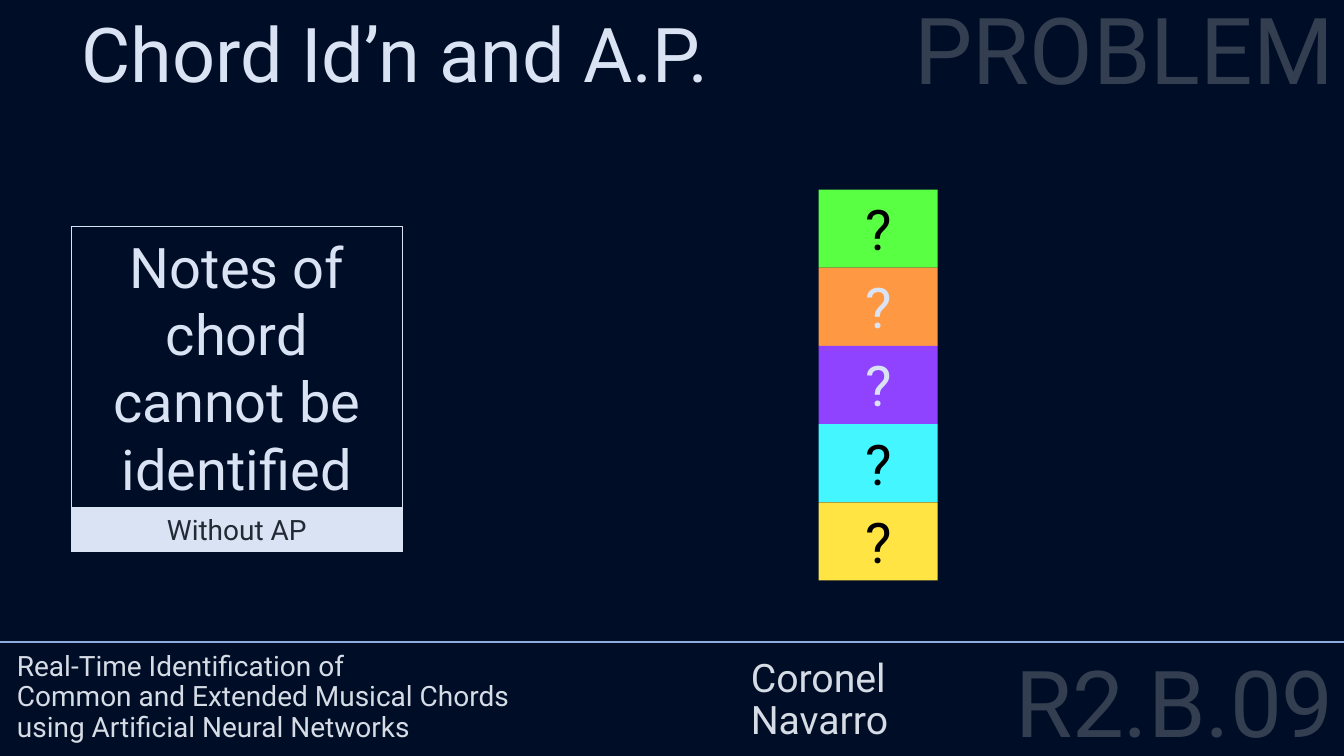
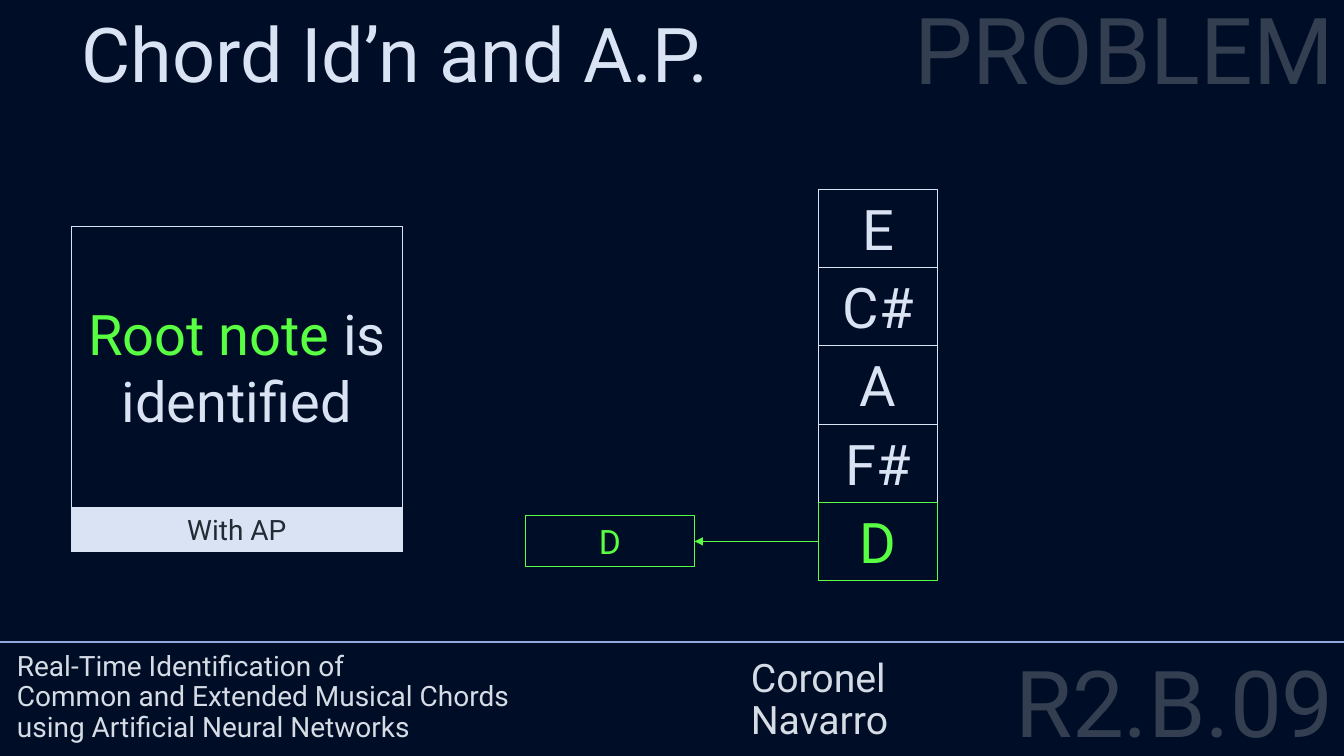
from lxml import etree
from pptx import Presentation
from pptx.dml.color import RGBColor
from pptx.enum.shapes import MSO_CONNECTOR, MSO_SHAPE
from pptx.enum.text import MSO_ANCHOR, PP_ALIGN
from pptx.oxml.ns import qn
from pptx.util import Pt

RECTANGLE = MSO_SHAPE.RECTANGLE
STRAIGHT = MSO_CONNECTOR.STRAIGHT
TOP, MIDDLE, BOTTOM = MSO_ANCHOR.TOP, MSO_ANCHOR.MIDDLE, MSO_ANCHOR.BOTTOM
LEFT, CENTER, RIGHT = PP_ALIGN.LEFT, PP_ALIGN.CENTER, PP_ALIGN.RIGHT
LEFT_SIDE, RIGHT_SIDE = 1, 3

NAVY = RGBColor(0x00, 0x0D, 0x26)
PALE = RGBColor(0xDA, 0xE3, 0xF3)
SILVER = RGBColor(0xD6, 0xDC, 0xE5)
SLATE = RGBColor(0x33, 0x3F, 0x50)
INK = RGBColor(0x22, 0x2A, 0x35)
BLACK = RGBColor(0x00, 0x00, 0x00)
RULE_BLUE = RGBColor(0x8F, 0xAA, 0xDC)
GREEN = RGBColor(0x59, 0xFF, 0x43)
ORANGE = RGBColor(0xFF, 0x98, 0x43)
PURPLE = RGBColor(0x8F, 0x43, 0xFF)
CYAN = RGBColor(0x43, 0xF6, 0xFF)
YELLOW = RGBColor(0xFF, 0xE4, 0x43)

FONT = "Roboto"
WIDTH, HEIGHT = 960, 540

SECTION = "PROBLEM"
TITLE = "Chord Id’n and A.P."
AUTHORS = ["Coronel", "Navarro"]
PROJECT = ["Real-Time Identification of",
           "Common and Extended Musical Chords",
           "using Artificial Neural Networks"]
CODE = "R2.B.09"

# Notes run from the top of the chord down: text, text colour, fill, outline
SLIDES = [
    {"statement": [("Notes of chord cannot be identified", PALE)],
     "caption": "Without AP",
     "notes": [("?", BLACK, GREEN, None),
               ("?", PALE, ORANGE, None),
               ("?", PALE, PURPLE, None),
               ("?", BLACK, CYAN, None),
               ("?", BLACK, YELLOW, None)],
     "root": None},
    {"statement": [("Root note", GREEN), (" is identified", PALE)],
     "caption": "With AP",
     "notes": [("E", PALE, None, PALE),
               ("C#", PALE, None, PALE),
               ("A", PALE, None, PALE),
               ("F#", PALE, None, PALE),
               ("D", GREEN, None, GREEN)],
     "root": "D"},
]

CARD_LEFT, CARD_TOP, CARD_WIDTH = 51, 161.6, 236.4
STATEMENT_HEIGHT, CAPTION_HEIGHT = 201, 31.6
STACK_LEFT, STACK_TOP = 584.8, 135.4
NOTE_WIDTH, NOTE_HEIGHT = 85, 55.85
ROOT_LEFT, ROOT_WIDTH, ROOT_HEIGHT = 375.2, 121, 36.4


def write(shape, paragraphs, size, align=LEFT, anchor=TOP, spacing=None, before=None):
    """Fill a shape; each paragraph is a list of lines, each line a list of (text, colour)."""
    frame = shape.text_frame
    frame.word_wrap = True
    frame.vertical_anchor = anchor
    for i, lines in enumerate(paragraphs):
        paragraph = frame.add_paragraph() if i else frame.paragraphs[0]
        paragraph.alignment = align
        if spacing:
            paragraph.line_spacing = spacing
        if before:
            paragraph.space_before = Pt(before)
        for j, line in enumerate(lines):
            if j:
                paragraph.add_line_break()
            for text, colour in line:
                run = paragraph.add_run()
                run.text = text
                run.font.name = FONT
                run.font.size = Pt(size)
                run.font.color.rgb = colour


def add_label(slide, box, paragraphs, size, **style):
    write(slide.shapes.add_textbox(*map(Pt, box)), paragraphs, size, **style)


def add_box(slide, box, runs, size, fill=None, outline=None, anchor=TOP):
    shape = slide.shapes.add_shape(RECTANGLE, *map(Pt, box))
    shape.shadow.inherit = False
    if fill is None:
        shape.fill.background()
    else:
        shape.fill.solid()
        shape.fill.fore_color.rgb = fill
    if outline is None:
        shape.line.fill.background()
    else:
        shape.line.color.rgb = outline
        shape.line.width = Pt(0.75)
    write(shape, [[runs]], size, align=CENTER, anchor=anchor)
    return shape


def add_line(slide, ends, colour, width):
    line = slide.shapes.add_connector(STRAIGHT, *map(Pt, ends))
    line.line.color.rgb = colour
    line.line.width = Pt(width)
    etree.SubElement(line._element.spPr, qn("a:effectLst"))
    return line


def add_frame(slide):
    """Add the title, section name and footer that every slide carries."""
    add_label(slide, (609, 472.3, 351, 75), [[[(CODE, SLATE)]]], 66,
              align=RIGHT, spacing=0.8, before=10)
    add_line(slide, (0, 458.6, WIDTH, 458.6), RULE_BLUE, 1.5)
    add_label(slide, (529.2, 319, 367, 215.3), [[[(name, SILVER)]] for name in AUTHORS], 28,
              anchor=BOTTOM, spacing=0.9)
    add_label(slide, (160, 0, 800, 258), [[[(SECTION, SLATE)]]], 66,
              align=RIGHT, spacing=0.9, before=10)
    add_label(slide, (51, 1.4, 566, 72.7), [[[(TITLE, PALE)]]], 54)
    add_label(slide, (5, 319, 524, 215.3), [[[(line, SILVER)] for line in PROJECT]], 20,
              anchor=BOTTOM, spacing=0.9)


def add_card(slide, statement, caption):
    add_box(slide, (CARD_LEFT, CARD_TOP, CARD_WIDTH, STATEMENT_HEIGHT), statement, 40,
            outline=PALE, anchor=MIDDLE)
    add_box(slide, (CARD_LEFT, CARD_TOP + STATEMENT_HEIGHT, CARD_WIDTH, CAPTION_HEIGHT),
            [(caption, INK)], 20, fill=PALE, outline=PALE)


def add_chord(slide, notes):
    """Stack the notes and return the lowest one."""
    for i, (text, colour, fill, outline) in enumerate(notes):
        note = add_box(slide, (STACK_LEFT, STACK_TOP + i * NOTE_HEIGHT, NOTE_WIDTH, NOTE_HEIGHT),
                       [(text, colour)], 40, fill, outline)
    return note


def add_root(slide, name, lowest_note, note_count):
    middle = STACK_TOP + (note_count - 0.5) * NOTE_HEIGHT
    root = add_box(slide, (ROOT_LEFT, middle - ROOT_HEIGHT / 2, ROOT_WIDTH, ROOT_HEIGHT),
                   [(name, GREEN)], 24, outline=GREEN)
    arrow = add_line(slide, (STACK_LEFT, middle, ROOT_LEFT + ROOT_WIDTH, middle), GREEN, 1)
    arrow.begin_connect(lowest_note, LEFT_SIDE)
    arrow.end_connect(root, RIGHT_SIDE)
    etree.SubElement(arrow.line._get_or_add_ln(), qn("a:tailEnd"), type="triangle")


def main():
    deck = Presentation()
    deck.slide_width, deck.slide_height = Pt(WIDTH), Pt(HEIGHT)
    backdrop = deck.slide_master.background.fill
    backdrop.solid()
    backdrop.fore_color.rgb = NAVY
    blank = deck.slide_layouts[6]
    for content in SLIDES:
        slide = deck.slides.add_slide(blank)
        add_frame(slide)
        add_card(slide, content["statement"], content["caption"])
        lowest_note = add_chord(slide, content["notes"])
        if content["root"]:
            add_root(slide, content["root"], lowest_note, len(content["notes"]))
    deck.save("out.pptx")


if __name__ == "__main__":
    main()
